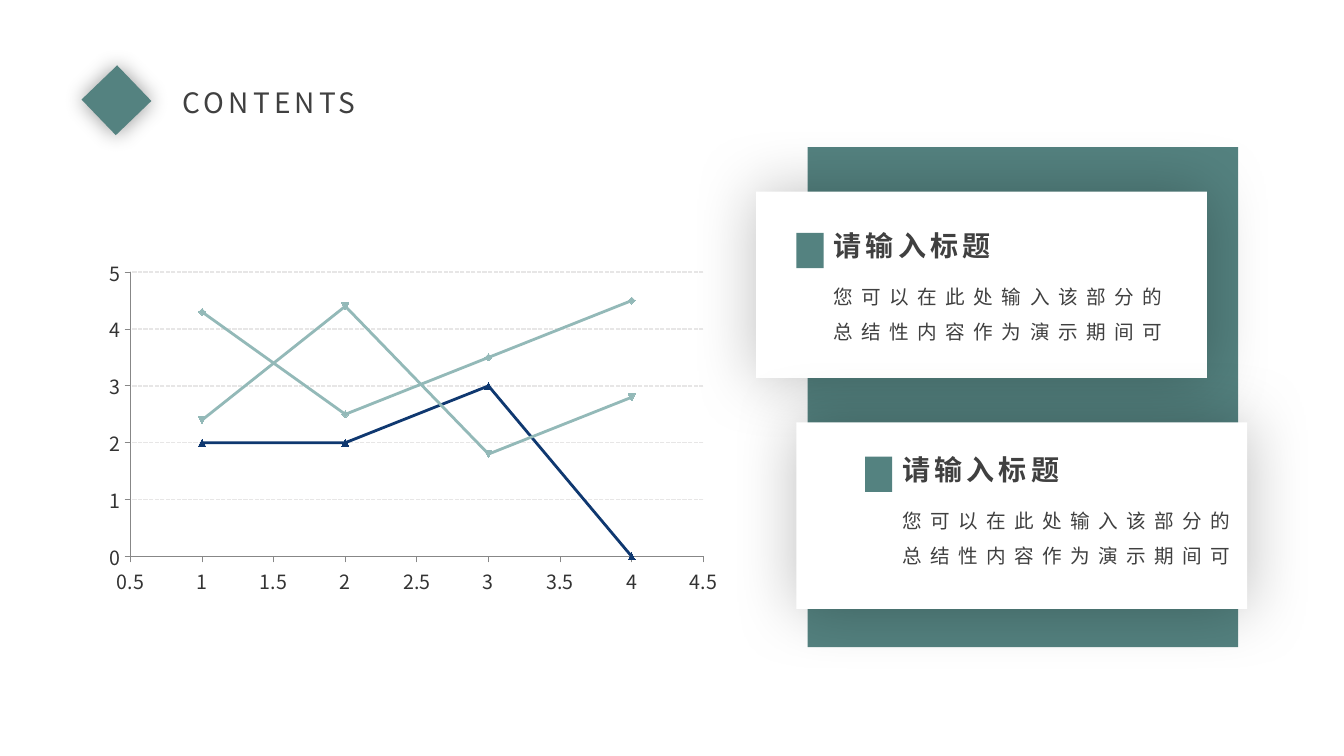
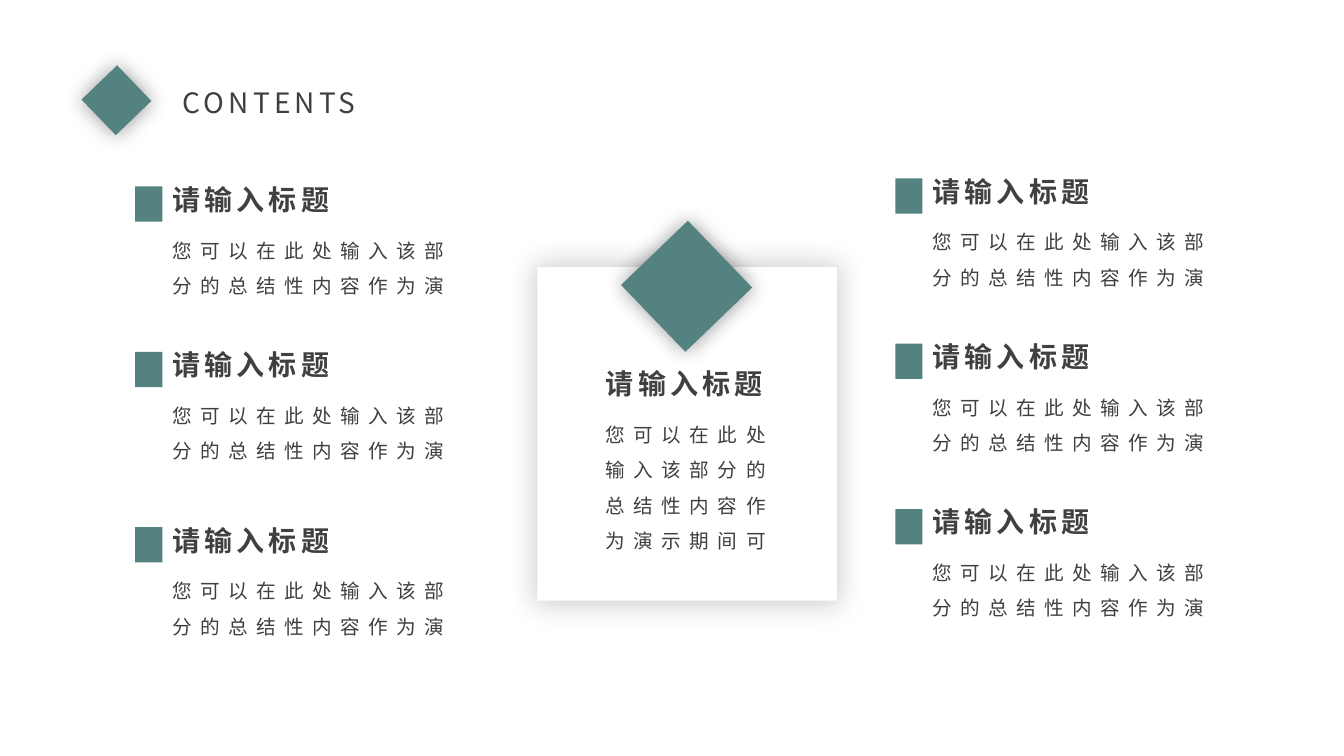
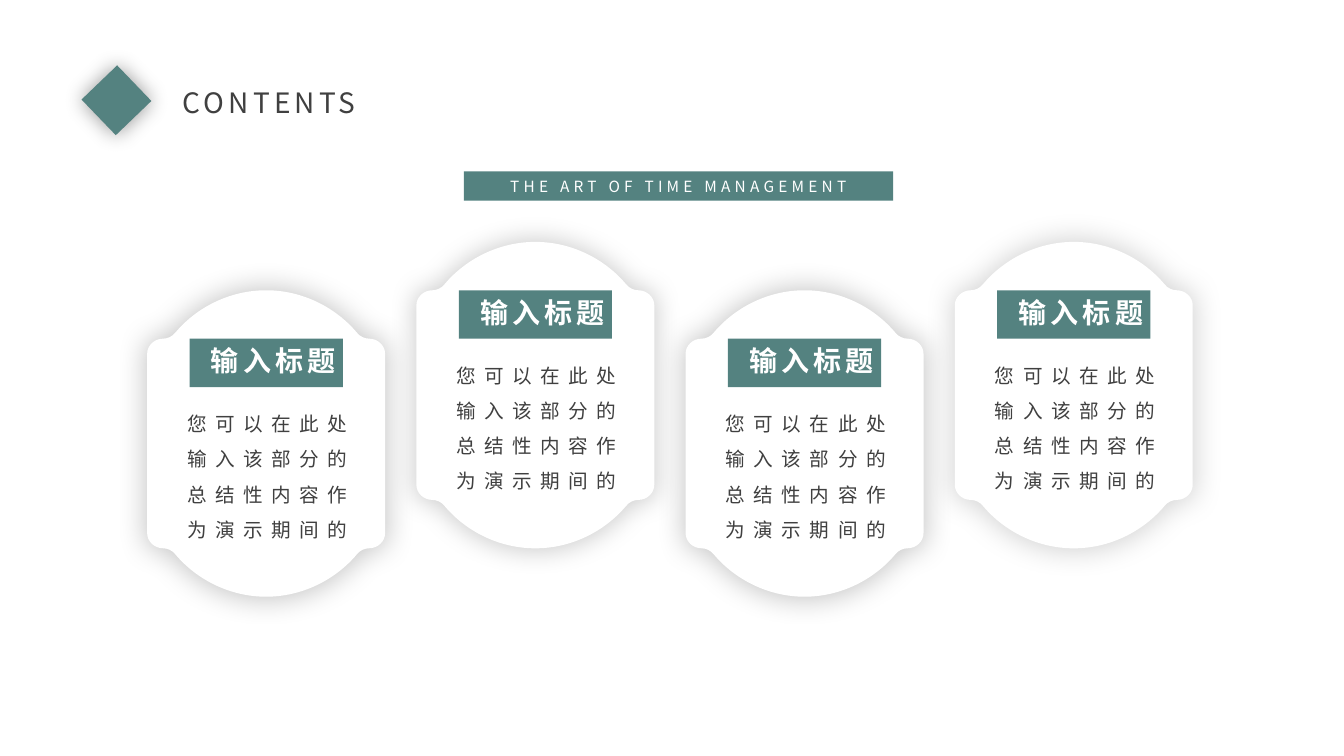
import pptx
import pptx.chart.data
import pptx.dml.color
import pptx.enum.chart
import pptx.enum.dml
import pptx.enum.shapes
import pptx.enum.text
import pptx.oxml
import pptx.oxml.ns
import pptx.util

Inches = pptx.util.Inches
Pt = pptx.util.Pt
qn = pptx.oxml.ns.qn
Align = pptx.enum.text.PP_ALIGN
Fit = pptx.enum.text.MSO_AUTO_SIZE
Rect = pptx.enum.shapes.MSO_SHAPE.RECTANGLE

FONT = "Noto Sans CJK SC"
COLORS = {
    "teal": "548280", "pale": "93B9B8", "navy": "0F3870", "deep": "042C72",
    "ink": "404040", "label": "333333", "axis": "878787", "grid": "E7E6E6",
    "white": "FFFFFF", "black": "000000",
}
HEAD = "请输入标题"
LEAD = "您可以在此处输入该部分的总结性内容作为演"
LONG = LEAD + "示期间可"
CARD = LEAD + "示期间的"
SIDE = [
    (0, -1.52), (0.36, -1.52), (0.69, -1.35), (0.9, -1.1),
    (0.93, -1.06), (0.98, -1.04), (1.02, -1.04),
    (1.11, -1.04), (1.18, -0.97), (1.18, -0.89),
]


def color(name):
    return pptx.dml.color.RGBColor.from_string(COLORS[name])


def write(frame, text, size=20, ink="ink", bold=False, gap=3, lead=None, align=None):
    para = frame.paragraphs[0]
    para.alignment = align
    para.line_spacing = lead
    run = para.add_run()
    run.text = text
    run.font.size = Pt(size)
    run.font.bold = bold
    run.font.name = FONT
    run.font.color.rgb = color(ink)
    props = run._r.get_or_add_rPr()
    props.set("spc", str(gap * 100))
    east = props.makeelement(qn("a:ea"), {"typeface": FONT})
    props.find(qn("a:latin")).addnext(east)


def outline():
    lower = [(x, -y) for x, y in reversed(SIDE)]
    right = SIDE + [(1.18, -0.3), (1.18, 0.3)] + lower
    return right + [(-x, y) for x, y in reversed(right)][1:]


def curve(shape):
    lines = list(shape._element.iter(qn("a:lnTo")))
    for first, *rest in zip(lines[::3], lines[1::3], lines[2::3]):
        first.tag = qn("a:cubicBezTo")
        for line in rest:
            first.append(line[0])
            line.getparent().remove(line)


class Deck:
    def __init__(self):
        self.show = pptx.Presentation()
        self.show.slide_width = Inches(13.33)
        self.show.slide_height = Inches(7.5)
        self.slide = None

    def page(self):
        self.slide = self.show.slides.add_slide(self.show.slide_layouts[6])
        self.gem(0.91, 0.75, 0.49)
        self.text("CONTENTS", 1.71, 0.8, 2.81, 0.44)

    def paint(self, shape, fill, shadow=None):
        shape.shadow.inherit = False
        shape.fill.solid()
        shape.fill.fore_color.rgb = color(fill)
        shape.line.fill.background()
        if shadow:
            alpha, blur, zoom = shadow
            effect = pptx.oxml.parse_xml(
                f'<a:outerShdw {pptx.oxml.ns.nsdecls("a")} blurRad="{Pt(blur)}" '
                f'dist="0" dir="0" sx="{zoom * 1000}" sy="{zoom * 1000}" '
                f'algn="ctr" rotWithShape="0"><a:srgbClr val="{COLORS["black"]}">'
                f'<a:alpha val="{alpha * 1000}"/></a:srgbClr></a:outerShdw>')
            shape._element.spPr.find(qn("a:effectLst")).append(effect)

    def box(self, x, y, w, h, fill="teal", shadow=None):
        shape = self.slide.shapes.add_shape(
            Rect, Inches(x), Inches(y), Inches(w), Inches(h))
        self.paint(shape, fill, shadow)
        return shape

    def gem(self, x, y, size):
        self.box(x, y, size, size, shadow=(40, 15, 100)).rotation = 46.1

    def text(self, words, x, y, w, h, wrap=True, **style):
        frame = self.slide.shapes.add_textbox(
            Inches(x), Inches(y), Inches(w), Inches(h)).text_frame
        frame.word_wrap = wrap
        frame.auto_size = Fit.SHAPE_TO_FIT_TEXT
        write(frame, words, **style)

    def body(self, words, x, y, w, h):
        self.text(words, x, y, w, h, size=14, gap=6, lead=1.5)

    def item(self, words, x, y, w, h=0.77, mark=True):
        if mark:
            self.box(x - 0.27, y + 0.09, 0.27, 0.35)
        self.text(HEAD, x, y, 1.85, 0.44, wrap=False, bold=True)
        self.body(words, x, y + 0.44, w, h)

    def badge(self, x, y, shadow):
        points = [(Inches(x + 1.18 + dx), Inches(y + 1.52 + dy)) for dx, dy in outline()]
        pen = self.slide.shapes.build_freeform(*points[0], scale=1.0)
        pen.add_line_segments(points[1:], close=True)
        plate = pen.convert_to_shape()
        curve(plate)
        self.paint(plate, "white", shadow)
        self.box(x + 0.42, y + 0.48, 1.52, 0.48)
        self.text("输入标题", x + 0.49, y + 0.48, 1.52, 0.44, wrap=False,
                  bold=True, ink="white", align=Align.CENTER)
        self.body(CARD, x + 0.3, y + 1.04, 2.05, 1.51)

    def banner(self, words, x, y, w, h):
        frame = self.box(x, y, w, h).text_frame
        frame.word_wrap = True
        write(frame, words, size=11, ink="white", align=Align.CENTER)

    def chart(self, x, y, w, h, rows):
        data = pptx.chart.data.XyChartData()
        for n, row in enumerate(rows, 1):
            line = data.add_series(f"Series {n}")
            for k, value in enumerate(row[0], 1):
                line.add_data_point(k, value)
        chart = self.slide.shapes.add_chart(
            pptx.enum.chart.XL_CHART_TYPE.XY_SCATTER_LINES,
            Inches(x), Inches(y), Inches(w), Inches(h), data).chart
        chart.has_legend = False
        chart.has_title = False
        chart.font.size = Pt(14)
        chart.font.name = FONT
        chart.font.color.rgb = color("label")
        chart.plots[0].vary_by_categories = False
        for line, (_, ink, dot) in zip(chart.plots[0].series, rows):
            line.smooth = False
            line.format.line.width = Pt(2)
            line.format.line.color.rgb = color(ink)
            line.marker.style = pptx.enum.chart.XL_MARKER_STYLE.AUTOMATIC
            line.marker.size = 5
            line.marker.format.fill.solid()
            line.marker.format.fill.fore_color.rgb = color(dot)
            line.marker.format.line.fill.background()
        scales = ((chart.category_axis, 0.5, 4.5, 0.5), (chart.value_axis, 0, 5, 1))
        for axis, low, high, step in scales:
            axis.minimum_scale = low
            axis.maximum_scale = high
            axis.major_unit = step
            axis.has_major_gridlines = False
            axis.major_tick_mark = pptx.enum.chart.XL_TICK_MARK.OUTSIDE
            axis.format.line.color.rgb = color("axis")
        chart.value_axis.has_major_gridlines = True
        grid = chart.value_axis.major_gridlines.format.line
        grid.color.rgb = color("grid")
        grid.width = Pt(1)
        grid.dash_style = pptx.enum.dml.MSO_LINE.SQUARE_DOT


def trends(deck):
    deck.page()
    deck.chart(0.96, 2.49, 6.28, 3.48, [
        ([4.3, 2.5, 3.5, 4.5], "pale", "pale"),
        ([2.4, 4.4, 1.8, 2.8], "pale", "teal"),
        ([2, 2, 3, 0], "navy", "deep"),
    ])
    deck.box(8.01, 1.46, 4.27, 4.96)
    for x, y, dx, dy in ((7.5, 1.9, 0.67, 0.32), (7.9, 4.19, 0.95, 0.25)):
        deck.box(x, y, 4.47, 1.85, "white", (25, 47, 100))
        deck.item(LONG, x + dx, y + dy, 3.69)


def topics(deck):
    deck.page()
    deck.box(5.33, 2.65, 2.97, 3.31, "white", (20, 20, 102))
    deck.gem(6.35, 2.38, 0.92)
    deck.item(LONG, 5.91, 3.59, 2.06, 1.51, mark=False)
    for x, tops in ((1.61, (1.76, 3.4, 5.14)), (9.15, (1.68, 3.32, 4.96))):
        for y in tops:
            deck.item(LEAD, x, y, 3.14)


def cards(deck):
    deck.page()
    deck.banner("THE ART OF TIME MANAGEMENT", 4.6, 1.7, 4.26, 0.29)
    for n, (alpha, blur) in enumerate(((21, 20), (18, 18), (21, 20), (16, 20))):
        deck.badge(1.46 + n * 2.67, 2.4 if n % 2 else 2.88, (alpha, blur, 102))


def main():
    deck = Deck()
    for build in (trends, topics, cards):
        build(deck)
    deck.show.save("out.pptx")


if __name__ == "__main__":
    main()
